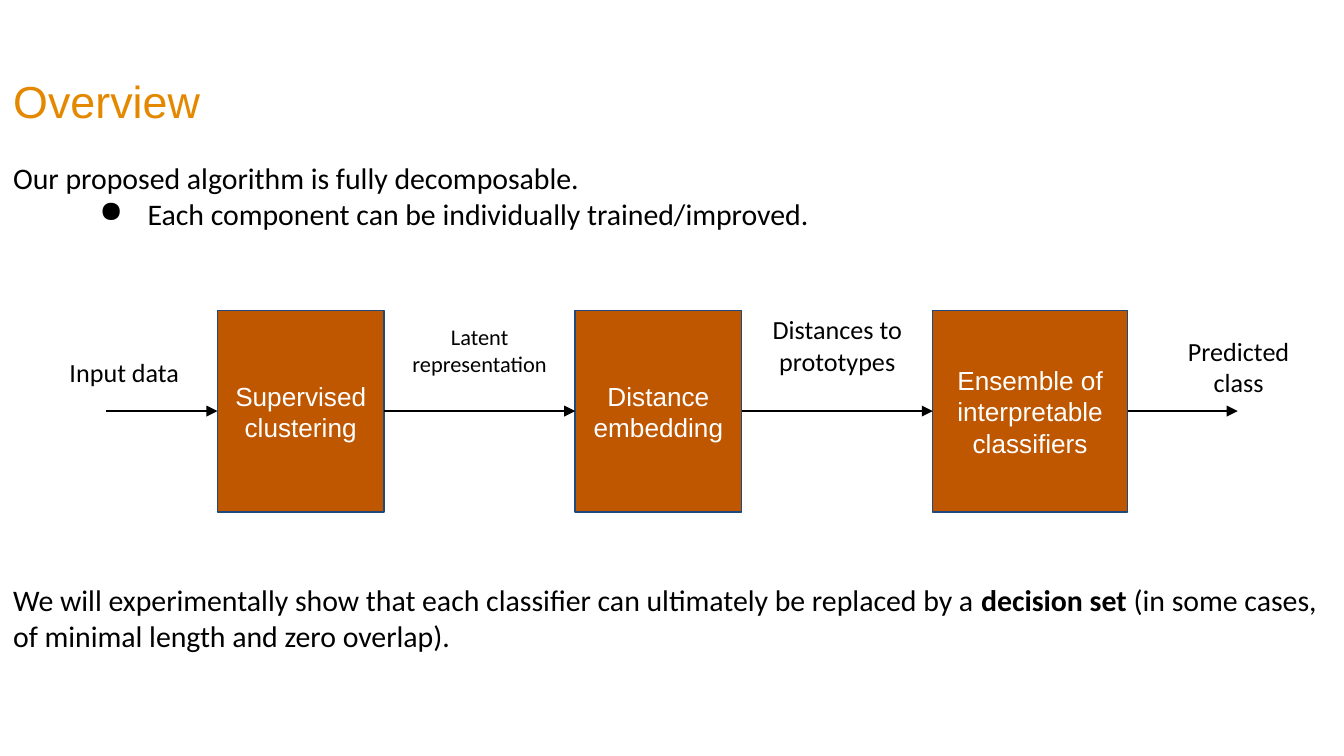
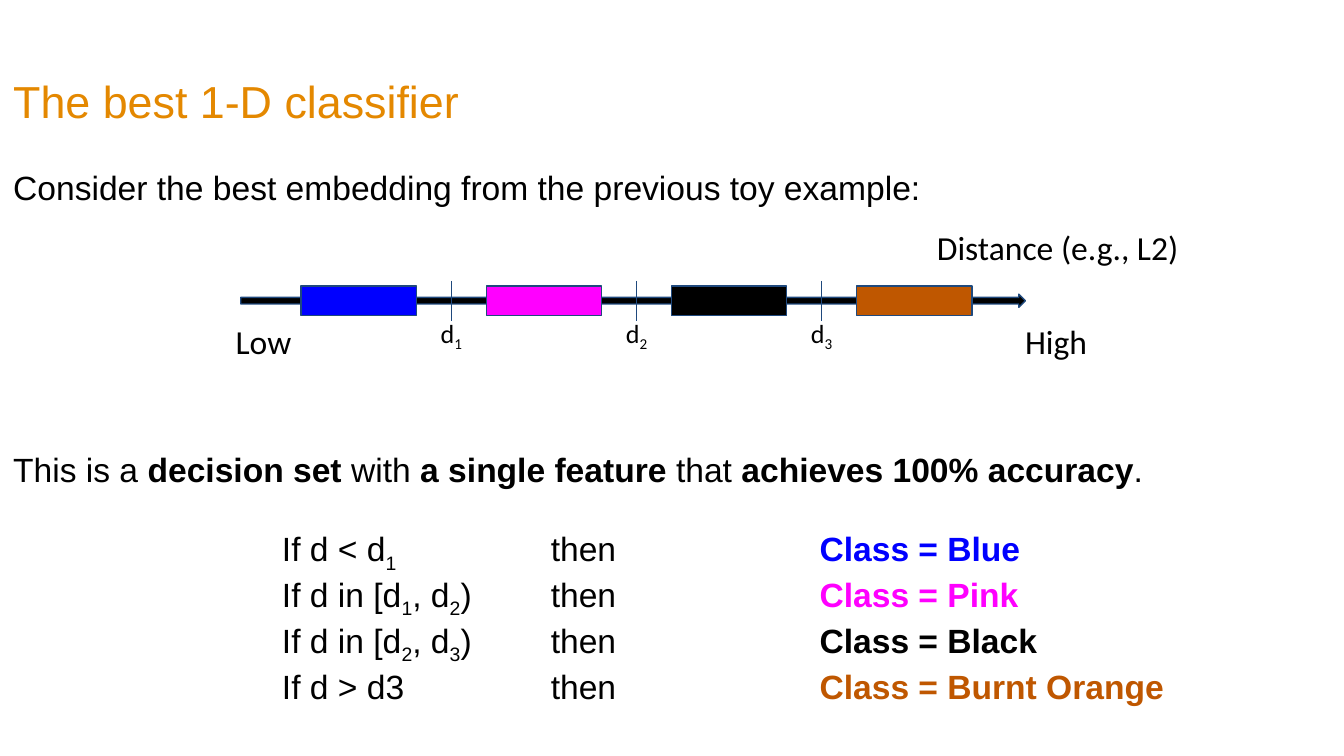
from lxml import etree
from pptx import Presentation
from pptx.dml.color import RGBColor
from pptx.enum.shapes import MSO_CONNECTOR, MSO_SHAPE
from pptx.enum.text import MSO_ANCHOR, MSO_AUTO_SIZE, PP_ALIGN
from pptx.oxml.ns import qn
from pptx.util import Cm, Pt

LEFT, MID = PP_ALIGN.LEFT, PP_ALIGN.CENTER
TOP, CENTER = MSO_ANCHOR.TOP, MSO_ANCHOR.MIDDLE
RECT, ARROW = MSO_SHAPE.RECTANGLE, MSO_SHAPE.RIGHT_ARROW
STRAIGHT = MSO_CONNECTOR.STRAIGHT

HUES = {"title": "E48800", "orange": "BF5700", "edge": "1F497D",
        "black": "000000", "white": "FFFFFF", "blue": "0000FF",
        "pink": "FF00FF"}
HUES = {name: RGBColor.from_string(code) for name, code in HUES.items()}
WIDE = 25.4
BOLD, SUB = "bold", "sub"


def put(slide, at, *paras, kind=None, fill=None, size=14, face="Calibri",
        hue="black", align=LEFT, anchor=TOP):
    """Place a text box, preset shape or title.

    A paragraph is a string or a list of runs; a run is a string or
    a tuple of text, style and, if it differs, colour.
    """
    at = [Cm(n) for n in at]
    if kind == "title":
        shape = slide.shapes.title
        shape.left, shape.top, shape.width, shape.height = at
    elif kind is None:
        shape = slide.shapes.add_textbox(*at)
    else:
        shape = slide.shapes.add_shape(kind, *at)
        shape.shadow.inherit = False
        shape.fill.solid()
        shape.fill.fore_color.rgb = HUES[fill]
        shape.line.color.rgb = HUES["edge"]
        shape.line.width = Pt(0.75)
    frame = shape.text_frame
    frame.word_wrap = True
    frame.auto_size = MSO_AUTO_SIZE.NONE
    frame.vertical_anchor = anchor
    frame.margin_left = frame.margin_right = Cm(0.25)
    frame.margin_top = frame.margin_bottom = Cm(0.25)
    for i, runs in enumerate(paras):
        para = frame.add_paragraph() if i else frame.paragraphs[0]
        para.alignment = align
        for part in [runs] if isinstance(runs, str) else runs:
            text, style, tint = (part, "", hue) if isinstance(part, str) else (*part, hue)[:3]
            run = para.add_run()
            run.text = text
            font = run.font
            font.name, font.size, font.bold = face, Pt(size), style == BOLD
            font.color.rgb = HUES[tint]
            if style == SUB:
                run._r.get_or_add_rPr().set("baseline", "-25000")
    return shape


def link(slide, start, end, hue="black", width=1.5, head=True):
    line = slide.shapes.add_connector(STRAIGHT, *[Cm(n) for n in (*start, *end)])
    line.line.color.rgb = HUES[hue]
    line.line.width = Pt(width)
    if head:
        etree.SubElement(line.line._get_or_add_ln(), qn("a:tailEnd"), type="triangle")
    etree.SubElement(line._element.spPr, qn("a:effectLst"))


deck = Presentation()
deck.slide_width, deck.slide_height = Cm(WIDE), Cm(14.29)
pages = []
for title in ("Overview", "The best 1-D classifier"):
    page = deck.slides.add_slide(deck.slide_layouts[5])
    put(page, (0, 1.3, WIDE, 1.22), title, kind="title", size=24,
        face="Arial", hue="title", anchor=CENTER)
    pages.append(page)
flow, scale = pages

# Overview: pipeline of three stages
stages = [("Supervised clustering", 3.15), ("Distance embedding", 3.15),
          ("Ensemble of interpretable classifiers", 3.68)]
axis = 7.77
tail = 2.01
for i, (name, width) in enumerate(stages):
    left = 4.11 + 6.76 * i
    put(flow, (left, 5.87, width, 3.81), name, kind=RECT, fill="orange",
        face="Arial", hue="white", align=MID, anchor=CENTER)
    link(flow, (tail, axis), (left, axis))
    tail = left + width
link(flow, (tail, axis), (23.39, axis))

intro = put(flow, (0, 2.77, WIDE, 2.06),
            "Our proposed algorithm is fully decomposable.",
            "Each component can be individually trained/improved.", size=16)
props = intro.text_frame.paragraphs[1]._p.get_or_add_pPr()
props.set("marL", str(Cm(2.54)))
props.set("indent", str(Cm(-0.91)))
tint = etree.SubElement(props, qn("a:buClr"))
etree.SubElement(tint, qn("a:srgbClr"), val=str(HUES["black"]))
etree.SubElement(props, qn("a:buChar"), char="●")

labels = [("Input data", (0.89, 6.55, 2.92, 0.97), 14),
          ("Latent representation", (7.49, 5.59, 3.15, 2.06), 12),
          ("Distances to prototypes", (14.25, 5.49, 3.15, 2.06), 14),
          ("Predicted class", (21.95, 6.45, 2.92, 0.97), 14)]
for text, at, size in labels:
    put(flow, at, text, size=size, align=MID, anchor=CENTER)

put(flow, (0, 10.74, WIDE, 2.06),
    ["We will experimentally show that each classifier can ultimately be replaced by a ",
     ("decision set", BOLD),
     " (in some cases, of minimal length and zero overlap)."], size=16)

# Classifier: distance axis with class bands and thresholds
put(scale, (0, 2.9, WIDE, 1.22),
    "Consider the best embedding from the previous toy example:",
    size=18, face="Arial")
put(scale, (4.55, 5.56, 14.83, 0.25), kind=ARROW, fill="black")
for text, left, top, width in [("Distance (e.g., L2)", 17.22, 4.04, 5.54),
                               ("High", 17.65, 5.82, 4.62),
                               ("Low", 2.67, 5.82, 4.62)]:
    put(scale, (left, top, width, 1.02), text, size=18, align=MID)

for i, hue in enumerate(("blue", "pink", "black", "orange")):
    left = 5.69 + 3.5 * i
    put(scale, (left, 5.41, 2.18, 0.56), kind=RECT, fill=hue)
    if i < 3:
        tick = left + 2.84
        put(scale, (tick - 0.62, 5.82, 1.24, 1.02), ["d", (str(i + 1), SUB)],
            align=MID, anchor=CENTER)
        link(scale, (tick, 5.31), (tick, 6.07), hue="edge", width=0.75, head=False)

# Decision set in three tabbed columns
cases = [(["If d < d", ("1", SUB)], "Blue", "blue"),
         (["If d in [d", ("1", SUB), ", d", ("2", SUB), ")"], "Pink", "pink"),
         (["If d in [d", ("2", SUB), ", d", ("3", SUB), ")"], "Black", "black"),
         (["If d > d3"], "Burnt Orange", "orange")]
rules = [["\t", *test, "\tthen\t", (f"Class = {name}", BOLD, hue)]
         for test, name, hue in cases]
claim = ["This is a ", ("decision set", BOLD), " with ", ("a single feature", BOLD),
         " that ", ("achieves 100% accuracy", BOLD), "."]
block = put(scale, (0, 8.23, WIDE, 5.72), claim, *rules, size=18, face="Arial")
lines = block.text_frame.paragraphs[1:]
for para in lines:
    stops = etree.SubElement(para._p.get_or_add_pPr(), qn("a:tabLst"))
    for col in (1, 2, 3):
        etree.SubElement(stops, qn("a:tab"), pos=str(Cm(5.08 * col)), algn="l")
lines[0].space_before = Pt(21)

deck.save("out.pptx")
